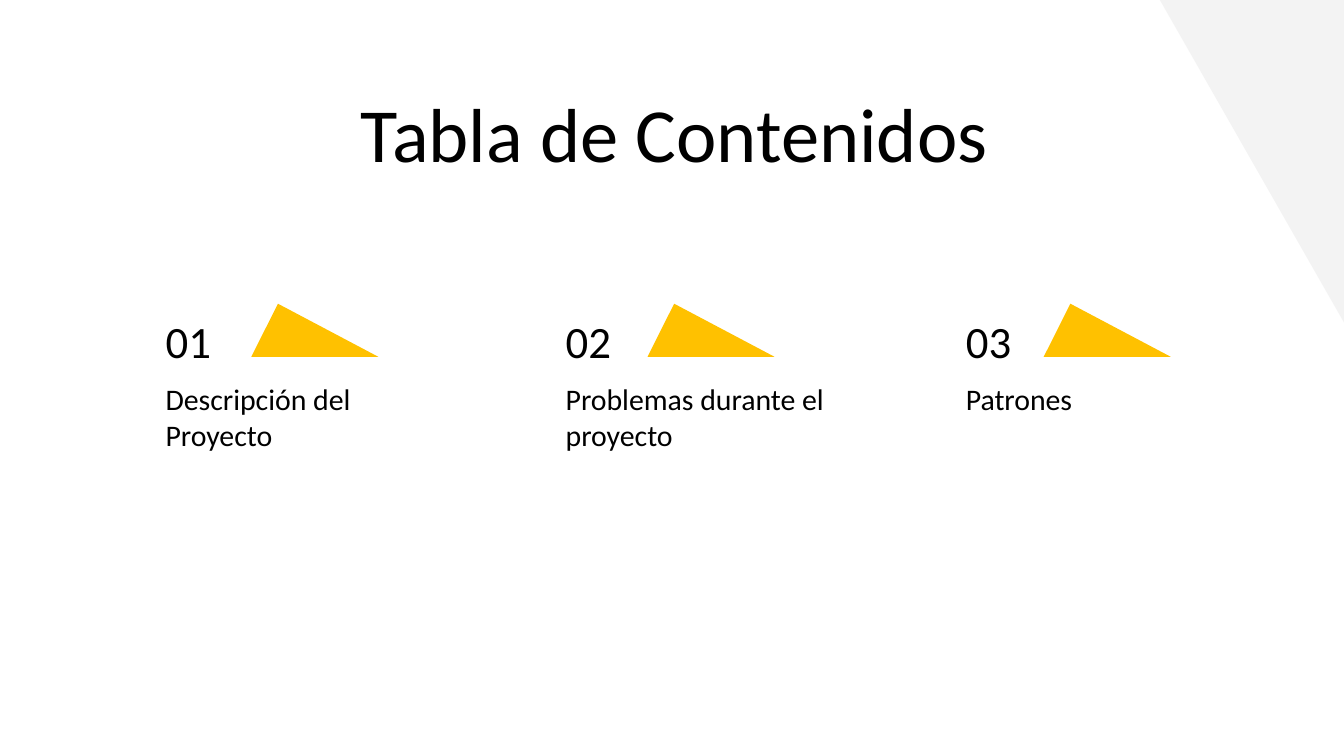
from dataclasses import dataclass

import pptx
import pptx.dml.color
import pptx.enum.shapes
import pptx.enum.text
import pptx.util

COLUMNS, ROWS = 100, 56.25
SLIDE_WIDTH = pptx.util.Inches(10)
SLIDE_HEIGHT = SLIDE_WIDTH * 9 // 16
FONT = "Calibri"
BLACK, YELLOW, GRAY = "000000", "FFC100", "F3F3F3"
TEXT_STEP, MARKER_STEP = 29.77, 29.48

SHAPES = pptx.enum.shapes.MSO_SHAPE
ANCHOR = pptx.enum.text.MSO_ANCHOR
ALIGN = pptx.enum.text.PP_ALIGN


@dataclass(frozen=True)
class Area:
    column: float
    row: float
    columns: float
    rows: float

    def shifted(self, columns: float) -> "Area":
        return Area(self.column + columns, self.row, self.columns, self.rows)

    def box(self) -> tuple[int, int, int, int]:
        return (
            round(SLIDE_WIDTH * self.column / COLUMNS),
            round(SLIDE_HEIGHT * self.row / ROWS),
            round(SLIDE_WIDTH * self.columns / COLUMNS),
            round(SLIDE_HEIGHT * self.rows / ROWS),
        )


@dataclass(frozen=True)
class TextStyle:
    size: int
    align: ALIGN = ALIGN.LEFT
    anchor: ANCHOR = ANCHOR.TOP
    space_after: int = 0


@dataclass(frozen=True)
class Section:
    number: str
    name: str


TITLE_AREA = Area(5.9, 5.4, 88.6, 6.3)
CORNER_AREA = Area(86.3, 0, 13.7, 24)
MARKER_AREA = Area(18.7, 22.6, 9.45, 3.95)
NUMBER_AREA = Area(11.34, 23.4, 11.8, 3.9)
NAME_AREA = Area(11.34, 27.33, 23.6, 3.9)

TITLE_STYLE = TextStyle(41, align=ALIGN.CENTER)
NUMBER_STYLE = TextStyle(24, anchor=ANCHOR.MIDDLE)
NAME_STYLE = TextStyle(16, space_after=16)

SECTIONS = [
    Section("01", "Descripción del Proyecto"),
    Section("02", "Problemas durante el proyecto"),
    Section("03", "Patrones"),
]


def color(value: str) -> pptx.dml.color.RGBColor:
    return pptx.dml.color.RGBColor.from_string(value)


def add_triangle(slide, kind: SHAPES, area: Area, fill: str):
    shape = slide.shapes.add_shape(kind, *area.box())
    shape.shadow.inherit = False
    shape.fill.solid()
    shape.fill.fore_color.rgb = color(fill)
    shape.line.fill.background()
    return shape


def add_text(slide, area: Area, text: str, style: TextStyle) -> None:
    frame = slide.shapes.add_textbox(*area.box()).text_frame
    frame.word_wrap = True
    frame.vertical_anchor = style.anchor
    inset = pptx.util.Inches(0.1)
    frame.margin_left = frame.margin_right = inset
    frame.margin_top = frame.margin_bottom = inset
    paragraph = frame.paragraphs[0]
    paragraph.text = text
    paragraph.alignment = style.align
    paragraph.space_after = pptx.util.Pt(style.space_after)
    paragraph.font.name = FONT
    paragraph.font.size = pptx.util.Pt(style.size)
    paragraph.font.color.rgb = color(BLACK)


def add_section(slide, index: int, section: Section) -> None:
    marker_area = MARKER_AREA.shifted(index * MARKER_STEP)
    marker = add_triangle(slide, SHAPES.ISOSCELES_TRIANGLE, marker_area, YELLOW)
    marker.adjustments[0] = 0.21
    offset = index * TEXT_STEP
    add_text(slide, NUMBER_AREA.shifted(offset), section.number, NUMBER_STYLE)
    add_text(slide, NAME_AREA.shifted(offset), section.name, NAME_STYLE)


def main() -> None:
    presentation = pptx.Presentation()
    presentation.slide_width = SLIDE_WIDTH
    presentation.slide_height = SLIDE_HEIGHT
    slide = presentation.slides.add_slide(presentation.slide_layouts[6])
    corner = add_triangle(slide, SHAPES.RIGHT_TRIANGLE, CORNER_AREA, GRAY)
    corner.rotation = 180
    add_text(slide, TITLE_AREA, "Tabla de Contenidos", TITLE_STYLE)
    for index, section in enumerate(SECTIONS):
        add_section(slide, index, section)
    presentation.save("out.pptx")


if __name__ == "__main__":
    main()
